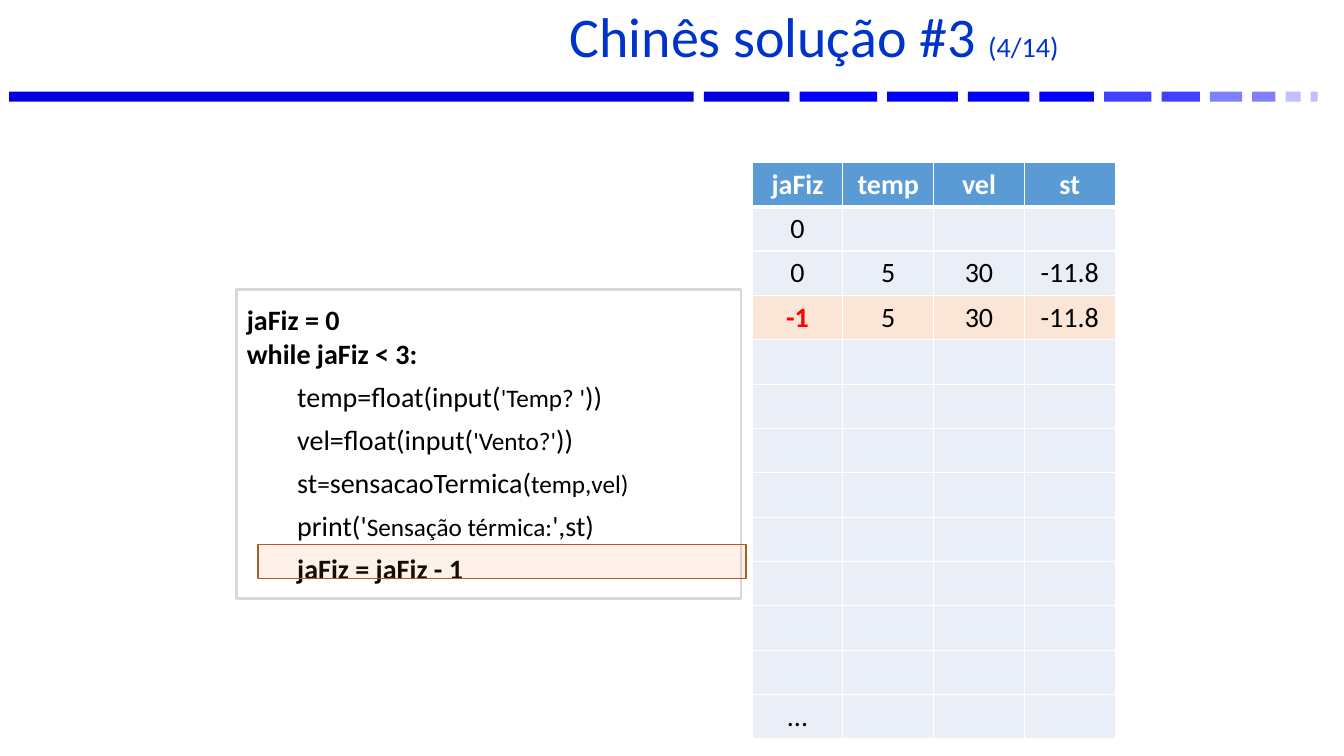
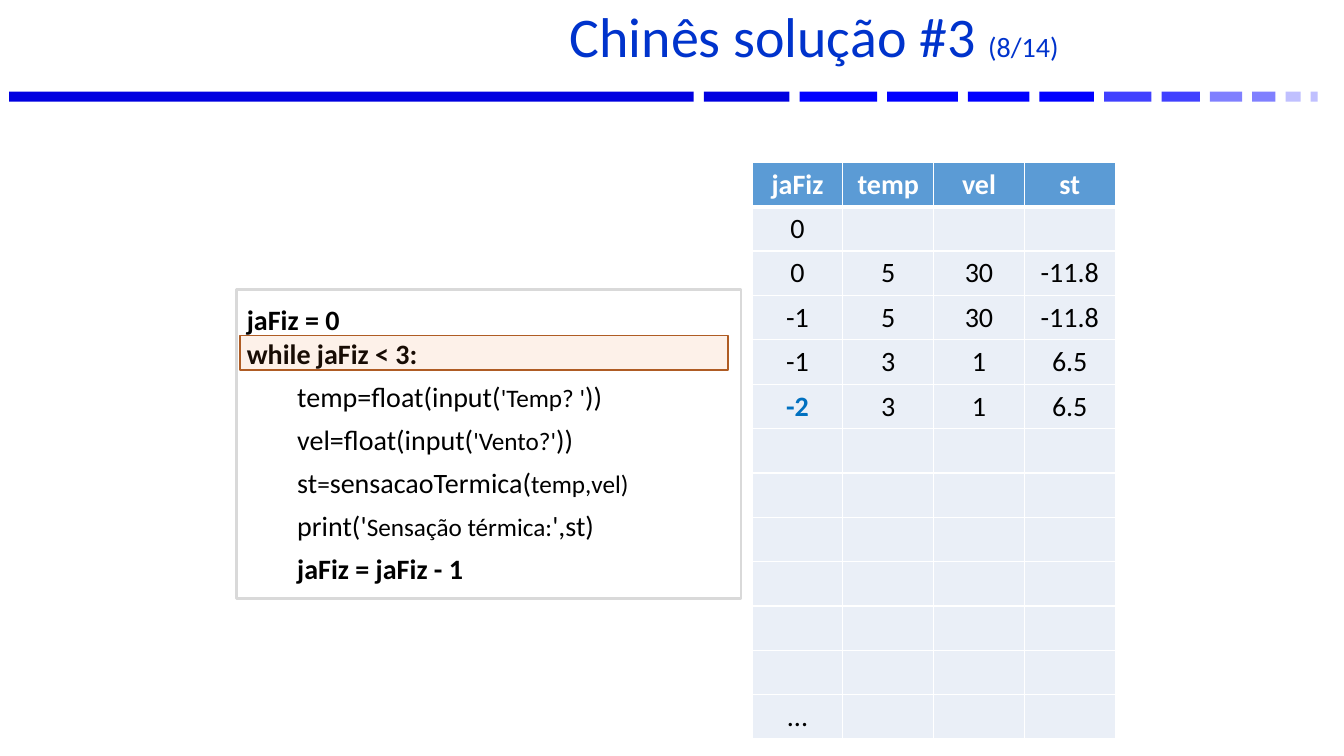
from dataclasses import dataclass
from typing import Any, NamedTuple

import lxml.etree
import pptx
import pptx.dml.color
import pptx.enum.shapes
import pptx.enum.text
import pptx.oxml.ns
import pptx.shapes.autoshape
import pptx.slide
import pptx.table
import pptx.text.text
import pptx.util

Inches = pptx.util.Inches
Pt = pptx.util.Pt
RGBColor = pptx.dml.color.RGBColor
ALIGN = pptx.enum.text.PP_ALIGN
MIDDLE = pptx.enum.text.MSO_ANCHOR.MIDDLE
qn = pptx.oxml.ns.qn

WHITE = RGBColor(0xFF, 0xFF, 0xFF)
BLACK = RGBColor(0x00, 0x00, 0x00)
TITLE_BLUE = RGBColor(0x00, 0x33, 0xCC)
BAND_DARK = RGBColor(0x00, 0x00, 0xE0)
BAND_BLUE = RGBColor(0x00, 0x00, 0xFF)
BAND_MID = RGBColor(0x40, 0x40, 0xFF)
BAND_SOFT = RGBColor(0x80, 0x80, 0xFF)
BAND_PALE = RGBColor(0xC0, 0xC0, 0xFF)
HEADER_BLUE = RGBColor(0x5B, 0x9B, 0xD5)
ROW_BLUE = RGBColor(0xEA, 0xEF, 0xF7)
ROW_ORANGE = RGBColor(0xFB, 0xE5, 0xD6)
BOX_GREY = RGBColor(0xD9, 0xD9, 0xD9)
MARK_FILL = RGBColor(0xED, 0x7D, 0x31)
MARK_LINE = RGBColor(0xAF, 0x5C, 0x24)
RED = RGBColor(0xFF, 0x00, 0x00)
BLUE = RGBColor(0x00, 0x70, 0xC0)

FONT = "Calibri"
BIG, SMALL = 20, 18
BAND_GAP = 0.1
HEADERS = ("jaFiz", "temp", "vel", "st")
ROW_COUNT = 13


class Band(NamedTuple):
    width: float
    color: RGBColor


class Piece(NamedTuple):
    text: str
    size: int = BIG


class CodeLine(NamedTuple):
    pieces: tuple[Piece, ...]
    bold: bool = False
    indented: bool = True


@dataclass(frozen=True)
class Step:
    page: int
    rows: tuple[tuple[str, ...], ...]
    accent: RGBColor
    last_fill: RGBColor
    mark_left: float
    mark_top: float


BANDS = (
    Band(6.79, BAND_DARK), Band(0.85, BAND_DARK),
    Band(0.77, BAND_BLUE), Band(0.7, BAND_BLUE),
    Band(0.61, BAND_BLUE), Band(0.54, BAND_BLUE),
    Band(0.47, BAND_MID), Band(0.38, BAND_MID),
    Band(0.32, BAND_SOFT), Band(0.23, BAND_SOFT),
    Band(0.15, BAND_PALE), Band(0.07, BAND_PALE),
)

CODE = (
    CodeLine((Piece("jaFiz = 0"),), True, False),
    CodeLine((Piece("while jaFiz < 3:"),), True, False),
    CodeLine((Piece("temp=float(input("), Piece("'Temp? '", SMALL), Piece("))"))),
    CodeLine((Piece("vel=float(input("), Piece("'Vento?'", SMALL), Piece("))"))),
    CodeLine((Piece("st"), Piece("=", SMALL), Piece("sensacaoTermica("),
              Piece("temp,vel)", SMALL))),
    CodeLine((Piece("print('"), Piece("Sensação térmica:", SMALL), Piece("',st)"))),
    CodeLine((Piece("jaFiz = jaFiz - 1"),), True),
)

FIRST_ROWS = (("0",), ("0", "5", "30", "-11.8"), ("-1", "5", "30", "-11.8"))
STEPS = (
    Step(4, FIRST_ROWS, RED, ROW_ORANGE, 2.56, 5.4),
    Step(8, FIRST_ROWS + (("-1", "3", "1", "6.5"), ("-2", "3", "1", "6.5")),
         BLUE, ROW_BLUE, 2.38, 3.33),
)


def apply(target: Any, values: dict[str, Any]) -> None:
    for name, value in values.items():
        setattr(target, name, value)


def add_run(p: pptx.text.text._Paragraph, text: str, size: int,
            color: RGBColor, bold: bool = False) -> None:
    r = p.add_run()
    r.text = text
    apply(r.font, {"name": FONT, "size": Pt(size), "bold": bold})
    r.font.color.rgb = color


def add_rect(s: pptx.slide.Slide, left: float, top: float, width: float,
             height: float, fill: RGBColor, line: RGBColor | None = None,
             line_width: float = 1) -> pptx.shapes.autoshape.Shape:
    sp = s.shapes.add_shape(pptx.enum.shapes.MSO_SHAPE.RECTANGLE, Inches(left),
                            Inches(top), Inches(width), Inches(height))
    sp.shadow.inherit = False
    sp.fill.solid()
    sp.fill.fore_color.rgb = fill
    if line is None:
        sp.line.fill.background()
    else:
        sp.line.color.rgb = line
        sp.line.width = Pt(line_width)
    return sp


def build_layout(layout: pptx.slide.SlideLayout, s: pptx.slide.Slide) -> None:
    for ph in list(layout.placeholders):
        if ph.placeholder_format.idx:
            ph.element.getparent().remove(ph.element)
        else:
            apply(ph, {"left": Inches(2.57), "top": Inches(0.06),
                       "width": Inches(10.76), "height": Inches(0.7)})
    bands = []
    left = 0.09
    for band in BANDS:
        bands.append(add_rect(s, left, 0.91, band.width, 0.1, band.color))
        left += band.width + BAND_GAP
    for sp in bands:
        layout.shapes.element.append(sp.element)


def add_title(s: pptx.slide.Slide, page: int) -> None:
    tf = s.shapes.title.text_frame
    apply(tf, {"vertical_anchor": MIDDLE, "margin_left": Inches(0.35),
               "auto_size": pptx.enum.text.MSO_AUTO_SIZE.NONE})
    p = tf.paragraphs[0]
    apply(p, {"alignment": ALIGN.CENTER, "line_spacing": 0.8})
    add_run(p, "Chinês solução #3 ", 40, TITLE_BLUE)
    add_run(p, f"({page}/14)", BIG, TITLE_BLUE)


def set_borders(cell: pptx.table._Cell, bottom: float) -> None:
    tc_pr = cell._tc.get_or_add_tcPr()
    for side, width in (("L", 1), ("R", 1), ("T", 1), ("B", bottom)):
        ln = lxml.etree.SubElement(tc_pr, qn(f"a:ln{side}"), w=str(Pt(width)))
        fill = lxml.etree.SubElement(ln, qn("a:solidFill"))
        lxml.etree.SubElement(fill, qn("a:srgbClr"), val=str(WHITE))


def add_trace(s: pptx.slide.Slide, step: Step) -> None:
    table = s.shapes.add_table(ROW_COUNT, len(HEADERS), Inches(7.46), Inches(1.61),
                               Inches(3.6), Inches(0.44 * ROW_COUNT)).table
    table.horz_banding = False
    last = len(step.rows)
    texts = {0: HEADERS, ROW_COUNT - 1: ("...",)}
    texts.update(enumerate(step.rows, 1))
    for i in range(ROW_COUNT):
        fill = HEADER_BLUE if i == 0 else step.last_fill if i == last else ROW_BLUE
        for j in range(len(HEADERS)):
            cell = table.cell(i, j)
            set_borders(cell, 3 if i == 0 else 1)
            cell.fill.solid()
            cell.fill.fore_color.rgb = fill
            apply(cell, {"vertical_anchor": MIDDLE,
                         "margin_left": Inches(0.09), "margin_right": Inches(0.09),
                         "margin_top": Inches(0.05), "margin_bottom": Inches(0.05)})
            row = texts.get(i, ())
            if j < len(row):
                p = cell.text_frame.paragraphs[0]
                p.alignment = ALIGN.CENTER
                accented = (i, j) == (last, 0)
                color = WHITE if i == 0 else step.accent if accented else BLACK
                add_run(p, row[j], BIG, color, i == 0 or accented)


def add_code(s: pptx.slide.Slide) -> None:
    tf = add_rect(s, 2.35, 2.87, 5, 3.07, WHITE, BOX_GREY, 2).text_frame
    apply(tf, {"word_wrap": True, "vertical_anchor": MIDDLE,
               "margin_left": Inches(0.1), "margin_right": Inches(0.1),
               "margin_top": 0, "margin_bottom": 0})
    for i, line in enumerate(CODE):
        p = tf.add_paragraph() if i else tf.paragraphs[0]
        p.alignment = ALIGN.LEFT
        if line.indented:
            apply(p, {"level": 1, "line_spacing": 1.2, "space_before": Pt(2)})
            apply(p._p.get_or_add_pPr(), {"marL": Inches(0.5), "indent": 0})
        for piece in line.pieces:
            add_run(p, piece.text, piece.size, BLACK, line.bold)


def add_mark(s: pptx.slide.Slide, step: Step) -> None:
    sp = add_rect(s, step.mark_left, step.mark_top, 4.84, 0.34, MARK_FILL, MARK_LINE)
    color = sp.element.spPr.find(qn("a:solidFill"))[0]
    lxml.etree.SubElement(color, qn("a:alpha"), val="10000")


def main() -> None:
    prs = pptx.Presentation()
    apply(prs, {"slide_width": Inches(13.33), "slide_height": Inches(7.5)})
    layout = prs.slide_layouts.get_by_name("Title Only")
    slides = [prs.slides.add_slide(layout) for _ in STEPS]
    build_layout(layout, slides[0])
    for s, step in zip(slides, STEPS):
        add_title(s, step.page)
        add_trace(s, step)
        add_code(s)
        add_mark(s, step)
    prs.save("out.pptx")


if __name__ == "__main__":
    main()
